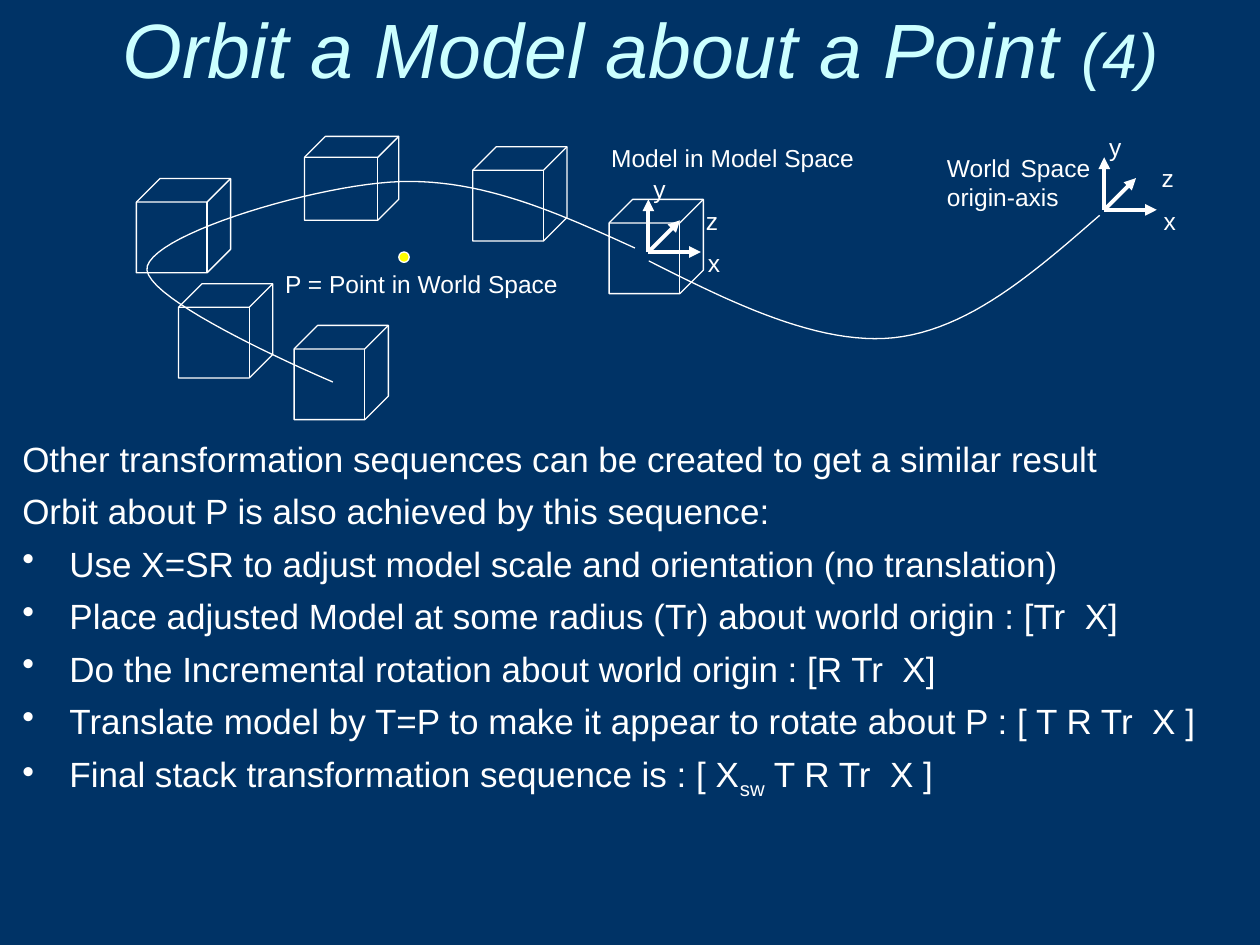
from typing import NamedTuple

from lxml import etree
from pptx import Presentation
from pptx.dml.color import RGBColor
from pptx.enum.shapes import MSO_CONNECTOR, MSO_SHAPE
from pptx.enum.text import MSO_ANCHOR, MSO_AUTO_SIZE, PP_ALIGN
from pptx.oxml.ns import qn
from pptx.util import Cm, Pt

STRAIGHT = MSO_CONNECTOR.STRAIGHT
CUBE, OVAL = MSO_SHAPE.CUBE, MSO_SHAPE.OVAL
CENTER, LEFT, JUSTIFY = PP_ALIGN.CENTER, PP_ALIGN.LEFT, PP_ALIGN.JUSTIFY
FONT = "Arial"
COLORS = {"navy": "003366", "ice": "CCFFFF", "white": "FFFFFF", "yellow": "FFFF00"}
CURVE_STEPS = 24
CUBE_SIDE = 1.9
AXIS_LENGTH = 1.06
LABEL_HEIGHT = 0.86


class Point(NamedTuple):
    x: float
    y: float


class Cube(NamedTuple):
    left: float
    top: float
    height: float = CUBE_SIDE


class Axis(NamedTuple):
    label: str
    tip: Point       # offset from the origin
    label_at: Point  # offset from the origin
    label_width: float


class Label(NamedTuple):
    lines: list[str]
    left: float
    top: float
    width: float
    height: float = LABEL_HEIGHT
    align: PP_ALIGN = JUSTIFY


AXES = [
    Axis("y", Point(0, -AXIS_LENGTH), Point(-0.15, -1.69), 0.76),
    Axis("x", Point(AXIS_LENGTH, 0), Point(0.95, -0.21), 0.76),
    Axis("z ", Point(0.64, -0.64), Point(0.91, -1.06), 0.89),
]
WORLD_ORIGIN = Point(22.26, 4.23)
MODEL_ORIGIN = Point(13.07, 5.08)
MODEL_CUBE = Cube(12.28, 4.02)
ORBIT_CUBES = [Cube(5.93, 6.56), Cube(9.53, 2.96), Cube(3.6, 5.72),
               Cube(2.75, 3.6), Cube(6.14, 2.75, 1.69)]
LABELS = [
    Label(["Model in Model Space"], 12.07, 2.75, 5.5),
    Label(["World Space ", "origin-axis"], 18.84, 2.96, 3.39, 1.45),
    Label(["P = Point in World Space"], 5.5, 5.29, 6.14, align=LEFT),
]
# Cubic curves: a start point, then three points for each piece
WORLD_PATH = [Point(13.08, 5.26), Point(14.78, 6.12), Point(16.51, 6.96), Point(18.01, 6.81),
              Point(19.53, 6.65), Point(20.85, 5.49), Point(22.17, 4.34)]
ORBIT_PATH = [Point(12.8, 5), Point(11.25, 4.29), Point(9.73, 3.61), Point(8.08, 3.66),
              Point(6.45, 3.71), Point(3.2, 4.67), Point(2.97, 5.36),
              Point(2.74, 6.02), Point(6.71, 7.7), Point(6.71, 7.7)]
INTRO = [
    "Other transformation sequences can be created to get a similar result",
    "Orbit about P is also achieved by this sequence:",
]
STEPS = [
    ["Use X=SR to adjust model scale and orientation (no translation)"],
    ["Place adjusted Model at some radius (Tr) about world origin : [Tr  X]"],
    ["Do the Incremental rotation about world origin : [R Tr  X]"],
    ["Translate model by T=P to make it appear to rotate about P : [ T R Tr  X ]"],
    ["Final stack transformation sequence is : [ X", "sw", " T R Tr  X ]"],
]


def rgb(color: str) -> RGBColor:
    return RGBColor.from_string(COLORS[color])


def add_run(paragraph, text: str, size: float, color: str = "white"):
    run = paragraph.add_run()
    run.text = text
    run.font.name = FONT
    run.font.size = Pt(size)
    run.font.color.rgb = rgb(color)
    return run


def add_frame(shapes, left: float, top: float, width: float, height: float, wrap: bool = True):
    frame = shapes.add_textbox(Cm(left), Cm(top), Cm(width), Cm(height)).text_frame
    frame.word_wrap = wrap
    return frame


def next_paragraph(frame, first: bool):
    return frame.paragraphs[0] if first else frame.add_paragraph()


def add_label(shapes, label: Label, wrap: bool = True) -> None:
    frame = add_frame(shapes, label.left, label.top, label.width, label.height, wrap)
    frame.auto_size = MSO_AUTO_SIZE.SHAPE_TO_FIT_TEXT
    for index, line in enumerate(label.lines):
        paragraph = next_paragraph(frame, index == 0)
        paragraph.alignment = label.align
        add_run(paragraph, line, 14)


def outline(shape) -> None:
    shape.shadow.inherit = False
    shape.fill.background()
    shape.line.color.rgb = rgb("white")
    shape.line.width = Pt(0.75)


def add_cube(shapes, cube: Cube) -> None:
    outline(shapes.add_shape(CUBE, Cm(cube.left), Cm(cube.top), Cm(CUBE_SIDE), Cm(cube.height)))


def add_axes(shapes, origin: Point) -> None:
    group = shapes.add_group_shape().shapes
    for axis in AXES:
        arrow = group.add_connector(STRAIGHT, Cm(origin.x), Cm(origin.y),
                                    Cm(origin.x + axis.tip.x), Cm(origin.y + axis.tip.y))
        arrow.line.color.rgb = rgb("white")
        arrow.line.width = Pt(2.25)
        etree.SubElement(arrow.line._get_or_add_ln(), qn("a:tailEnd"), type="triangle")
        etree.SubElement(arrow._element.spPr, qn("a:effectLst"))
    for axis in AXES:
        add_label(group, Label([axis.label], origin.x + axis.label_at.x,
                               origin.y + axis.label_at.y, axis.label_width), wrap=False)


def bezier(knots: tuple[float, ...], t: float) -> float:
    a, b, c, d = knots
    u = 1 - t
    return a * u**3 + 3 * b * u * u * t + 3 * c * u * t * t + d * t**3


def add_curve(shapes, points: list[Point]) -> None:
    builder = shapes.build_freeform(Cm(points[0].x), Cm(points[0].y))
    vertices = []
    for start in range(0, len(points) - 1, 3):
        xs, ys = zip(*points[start:start + 4])
        for step in range(1, CURVE_STEPS + 1):
            t = step / CURVE_STEPS
            vertices.append((Cm(bezier(xs, t)), Cm(bezier(ys, t))))
    builder.add_line_segments(vertices, close=False)
    outline(builder.convert_to_shape())


def add_bullet(paragraph) -> None:
    properties = paragraph._p.get_or_add_pPr()
    properties.set("marL", str(Cm(0.95)))
    properties.set("indent", str(-Cm(0.95)))
    etree.SubElement(properties, qn("a:buChar"), char="•")


def add_title(shapes) -> None:
    frame = add_frame(shapes, 1.27, 0, 23.29, 1.91)
    frame.vertical_anchor = MSO_ANCHOR.MIDDLE
    paragraph = frame.paragraphs[0]
    paragraph.alignment = CENTER
    for text, size in [("Orbit a Model about a Point ", 44), ("(4)", 36)]:
        add_run(paragraph, text, size, "ice").font.italic = True


def add_body(shapes) -> None:
    frame = add_frame(shapes, 0.2, 8.69, 24.97, 8.46)
    for index, parts in enumerate([[line] for line in INTRO] + STEPS):
        paragraph = next_paragraph(frame, index == 0)
        paragraph.space_before = Pt(6 if index else 0)
        if index >= len(INTRO):
            add_bullet(paragraph)
        for part in parts:
            run = add_run(paragraph, part, 20)
            if part == "sw":
                run.font._element.set("baseline", "-25000")


def main() -> None:
    deck = Presentation()
    deck.slide_width, deck.slide_height = Cm(25.4), Cm(19.05)
    slide = deck.slides.add_slide(deck.slide_layouts[6])
    slide.background.fill.solid()
    slide.background.fill.fore_color.rgb = rgb("navy")
    shapes = slide.shapes

    add_title(shapes)
    add_body(shapes)

    # World axes, and the model with its own axes
    add_axes(shapes, WORLD_ORIGIN)
    add_cube(shapes, MODEL_CUBE)
    add_axes(shapes, MODEL_ORIGIN)
    for label in LABELS:
        add_label(shapes, label)

    # Orbit around P
    add_curve(shapes, WORLD_PATH)
    center = shapes.add_shape(OVAL, Cm(8.04), Cm(5.08), Cm(0.21), Cm(0.21))
    outline(center)
    center.fill.solid()
    center.fill.fore_color.rgb = rgb("yellow")
    add_curve(shapes, ORBIT_PATH)
    for cube in ORBIT_CUBES:
        add_cube(shapes, cube)
    deck.save("out.pptx")


if __name__ == "__main__":
    main()
